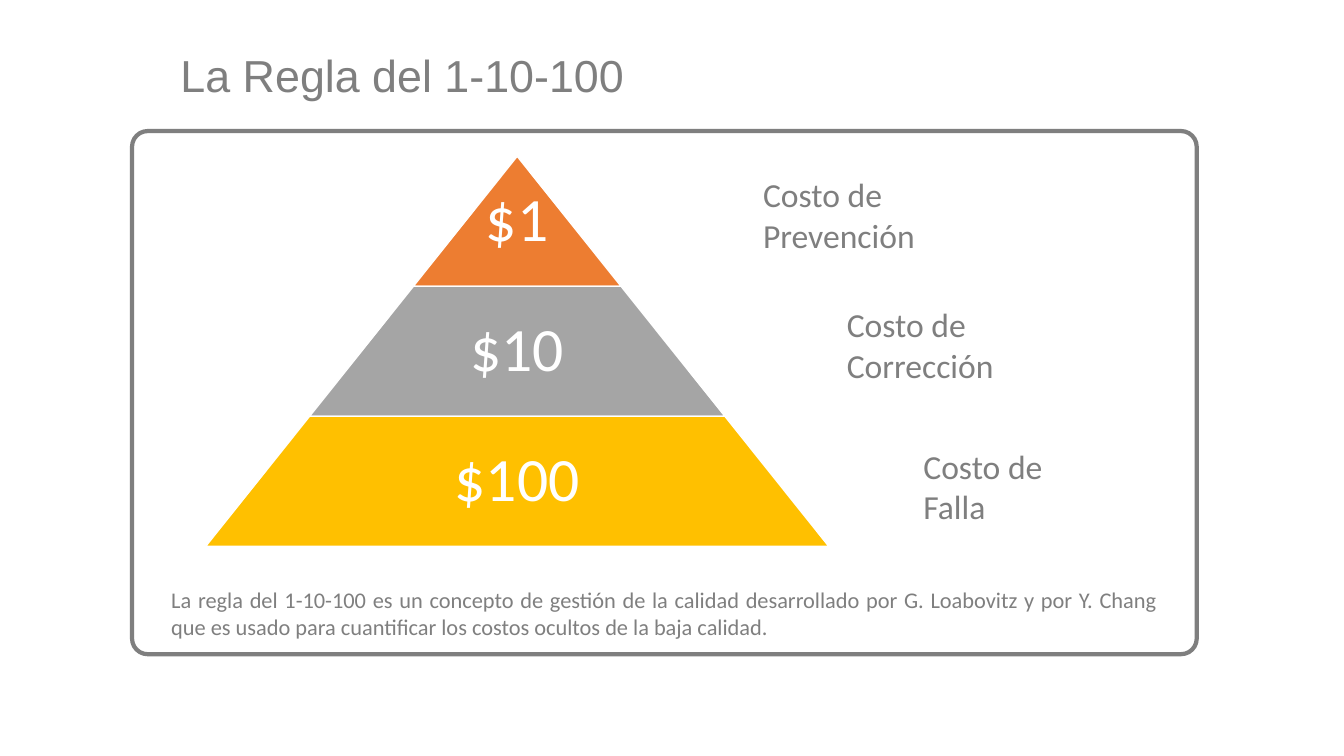
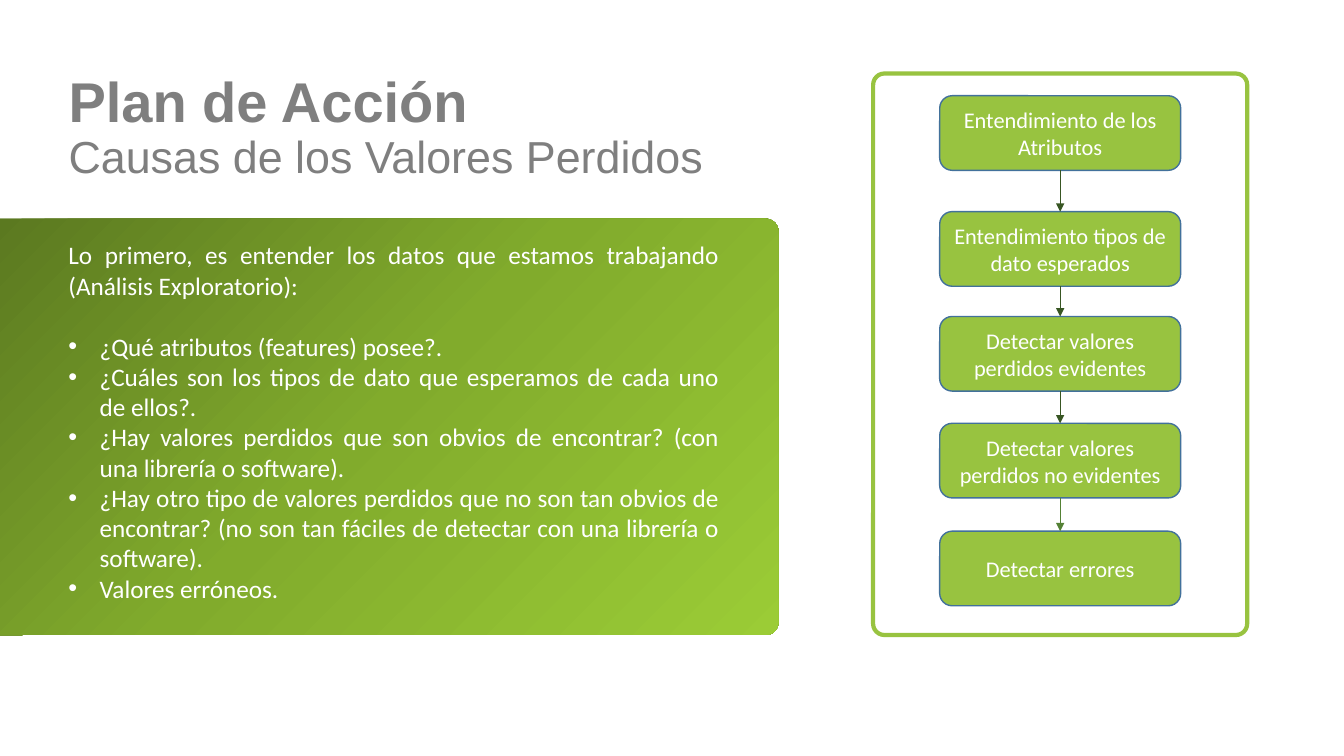
"""Build two slides: the 1-10-100 rule and the action plan for missing values."""
from copy import deepcopy
from dataclasses import dataclass
from itertools import pairwise

from pptx import Presentation
from pptx import util as u
from pptx.dml.color import RGBColor
from pptx.enum import shapes, text
from pptx.oxml import ns, xmlchemy

COLORS = {
    "white": "FFFFFF", "gray": "7F7F7F", "green": "98C340", "step_line": "42719B",
    "orange": "ED7D31", "silver": "A5A5A5", "gold": "FFC000",
    "arrow": "385623", "last_arrow": "548135",
    "grad_dark": "58751F", "grad_mid": "81AB2C", "grad_light": "9BCC36",
}
SHAPE = shapes.MSO_SHAPE
ALIGN = text.PP_ALIGN
MIDDLE = text.MSO_ANCHOR.MIDDLE


@dataclass(frozen=True)
class Box:
    left: float
    top: float
    width: float
    height: float

    def emu(self) -> tuple:
        return tuple(u.Inches(v) for v in (self.left, self.top, self.width, self.height))


@dataclass(frozen=True)
class Line:
    text: str
    size: int
    color: str = "gray"
    font: str = "Calibri"
    bold: bool = False
    align: ALIGN = ALIGN.LEFT
    spacing: float = 1.0
    after: int = 0
    bullet: bool = False


@dataclass(frozen=True)
class Tier:
    amount: str
    color: str
    label: str
    label_box: Box


@dataclass(frozen=True)
class Step:
    text: str
    top: float


TIERS = [
    Tier("$1", "orange", "Costo de Prevención", Box(7.47, 1.68, 2.66, 0.91)),
    Tier("$10", "silver", "Costo de Corrección", Box(8.3, 2.97, 2.61, 0.91)),
    Tier("$100", "gold", "Costo de Falla", Box(9.06, 4.37, 1.86, 0.91)),
]
RULE_NOTE = (
    "La regla del 1-10-100 es un concepto de gestión de la calidad desarrollado por "
    "G. Loabovitz y por Y. Chang que es usado para cuantificar los costos ocultos de la baja calidad."
)
INTRO = "Lo primero, es entender los datos que estamos trabajando (Análisis Exploratorio):"
QUESTIONS = [
    "¿Qué atributos (features) posee?.",
    "¿Cuáles son los tipos de dato que esperamos de cada uno de ellos?.",
    "¿Hay valores perdidos que son obvios de encontrar? (con una librería o software).",
    "¿Hay otro tipo de valores perdidos que no son tan obvios de encontrar? "
    "(no son tan fáciles de detectar con una librería o software).",
    "Valores erróneos.",
]
STEPS = [
    Step("Entendimiento de los Atributos", 0.95),
    Step("Entendimiento tipos de dato esperados", 2.1),
    Step("Detectar valores perdidos evidentes", 3.14),
    Step("Detectar valores perdidos no evidentes", 4.2),
    Step("Detectar errores", 5.27),
]


def rgb(name: str) -> RGBColor:
    return RGBColor.from_string(COLORS[name])


def write(tf, lines: list[Line], anchor=text.MSO_ANCHOR.TOP, inset=None) -> None:
    tf.word_wrap = True
    tf.auto_size = text.MSO_AUTO_SIZE.NONE
    tf.vertical_anchor = anchor
    if inset is not None:
        tf.margin_left = tf.margin_right = tf.margin_top = tf.margin_bottom = u.Inches(inset)
    for i, line in enumerate(lines):
        p = tf.add_paragraph() if i else tf.paragraphs[0]
        p.alignment, p.line_spacing = line.align, line.spacing
        p.space_before, p.space_after = u.Pt(0), u.Pt(line.after)
        if line.bullet:
            ppr = p._p.get_or_add_pPr()
            ppr.set("marL", str(u.Inches(0.31)))
            ppr.set("indent", str(-u.Inches(0.31)))
            font = xmlchemy.OxmlElement("a:buFont")
            font.set("typeface", "Arial")
            bullet = xmlchemy.OxmlElement("a:buChar")
            bullet.set("char", "•")
            ppr.extend([font, bullet])
        r = p.add_run()
        r.text = line.text
        r.font.name, r.font.size, r.font.bold = line.font, u.Pt(line.size), line.bold
        r.font.color.rgb = rgb(line.color)


def add_text(s, box: Box, lines: list[Line], **style) -> None:
    write(s.shapes.add_textbox(*box.emu()).text_frame, lines, **style)


def add_title_slide(prs, box: Box, lines: list[Line]):
    s = prs.slides.add_slide(prs.slide_layouts[5])
    title = s.shapes.title
    title.left, title.top, title.width, title.height = box.emu()
    write(title.text_frame, lines, anchor=MIDDLE)
    return s


def add_shape(s, kind, box: Box, adj: float, fill=None, line=None, weight: float = 1):
    sp = s.shapes.add_shape(kind, *box.emu())
    sp.shadow.inherit = False
    sp.adjustments[0] = adj
    if fill:
        sp.fill.solid()
        sp.fill.fore_color.rgb = rgb(fill)
    if line:
        sp.line.color.rgb = rgb(line)
        sp.line.width = u.Pt(weight)
    else:
        sp.line.fill.background()
    return sp


def add_frame(s, box: Box, line: str) -> None:
    add_shape(s, SHAPE.ROUNDED_RECTANGLE, box, 0.03, "white", line, 3)


def add_gradient_panel(s, box: Box) -> None:
    sp = add_shape(s, SHAPE.ROUNDED_RECTANGLE, box, 0.03)
    sp.fill.gradient()
    sp.fill.gradient_angle = 315
    stops = sp._element.spPr.find(ns.qn("a:gradFill")).find(ns.qn("a:gsLst"))
    stops.append(deepcopy(stops[0]))
    names = ("grad_dark", "grad_mid", "grad_light")
    for i, (stop, name) in enumerate(zip(sp.fill.gradient_stops, names)):
        stop.position = i / 2
        stop.color.rgb = rgb(name)


def add_arrow(s, start, end, color: str) -> None:
    c = s.shapes.add_connector(shapes.MSO_CONNECTOR.STRAIGHT, 0, 0, 0, 0)
    c.begin_connect(start, 2)
    c.end_connect(end, 0)
    c.line.color.rgb = rgb(color)
    c.line.width = u.Pt(0.75)
    tail = xmlchemy.OxmlElement("a:tailEnd")
    tail.set("type", "triangle")
    c.line._get_or_add_ln().append(tail)
    c._element.spPr.append(xmlchemy.OxmlElement("a:effectLst"))


def build_rule(prs) -> None:
    title = Line("La Regla del 1-10-100", 32, font="Arial", spacing=1.5)
    s = add_title_slide(prs, Box(1.69, 0.06, 10.24, 1.1), [title])
    add_frame(s, Box(1.31, 1.3, 10.56, 5.19), "gray")
    add_text(s, Box(1.6, 5.77, 9.98, 0.64), [Line(RULE_NOTE, 16, align=ALIGN.JUSTIFY)])
    center, top, width, height = 5.13, 1.55, 2.06, 1.29
    for i, tier in enumerate(TIERS):
        w = width * (i + 1)
        box = Box(center - w / 2, top + i * height, w, height)
        add_shape(s, SHAPE.TRAPEZOID, box, width / 2 / height, tier.color, "white")
        amount = Line(tier.amount, 44, "white", align=ALIGN.CENTER, spacing=0.9)
        add_text(s, box, [amount], anchor=MIDDLE, inset=0.06)
        add_text(s, tier.label_box, [Line(tier.label, 24)])


def build_plan(prs) -> None:
    s = add_title_slide(prs, Box(0.58, 0.73, 11.79, 1.1), [
        Line("Plan de Acción", 40, font="Arial", bold=True, spacing=0.9),
        Line("Causas de los Valores Perdidos", 32, font="Arial", spacing=0.9),
    ])
    add_frame(s, Box(8.66, 0.73, 3.71, 5.57), "green")
    add_gradient_panel(s, Box(-0.47, 2.17, 8.19, 4.13))
    intro = Line(INTRO, 18, "white", align=ALIGN.JUSTIFY, after=22)
    questions = [Line(q, 18, "white", align=ALIGN.JUSTIFY, bullet=True) for q in QUESTIONS]
    add_text(s, Box(0.58, 2.33, 6.65, 3.74), [intro, *questions])
    boxes = []
    for step in STEPS:
        sp = add_shape(s, SHAPE.ROUNDED_RECTANGLE, Box(9.32, step.top, 2.39, 0.74),
                       0.167, "green", "step_line")
        write(sp.text_frame, [Line(step.text, 16, "white", align=ALIGN.CENTER)], anchor=MIDDLE)
        boxes.append(sp)
    for start, end in pairwise(boxes):
        add_arrow(s, start, end, "last_arrow" if end is boxes[-1] else "arrow")


def main() -> None:
    prs = Presentation()
    prs.slide_width, prs.slide_height = u.Inches(13.33), u.Inches(7.5)
    build_rule(prs)
    build_plan(prs)
    prs.save("out.pptx")


if __name__ == "__main__":
    main()
